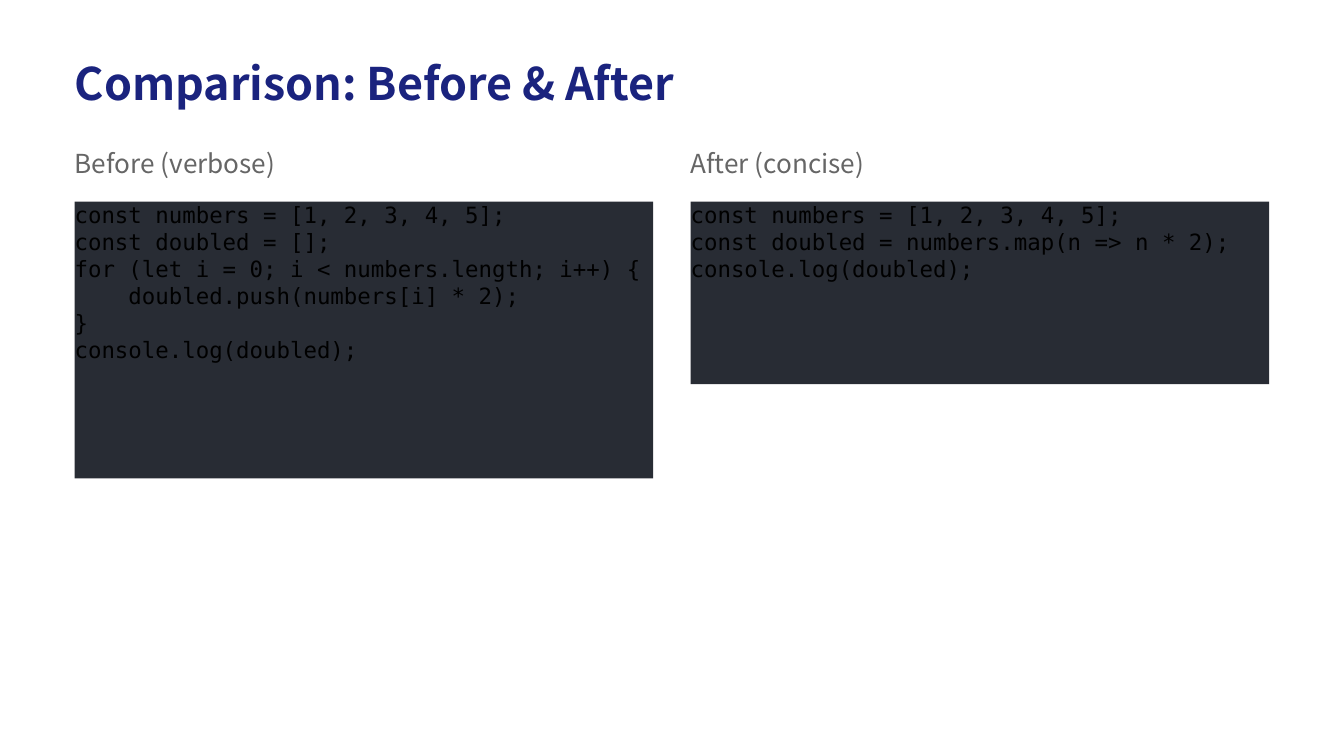
from copy import deepcopy
from dataclasses import dataclass

from pptx import Presentation
from pptx.dml.color import RGBColor
from pptx.enum.shapes import MSO_SHAPE
from pptx.enum.text import MSO_ANCHOR, PP_ALIGN
from pptx.oxml.ns import qn
from pptx.util import Inches, Pt

RECT = MSO_SHAPE.RECTANGLE
TOP = MSO_ANCHOR.TOP
LEFT = PP_ALIGN.LEFT

COLORS = {
    "title": "1A237E",
    "label": "666666",
    "code": "000000",
    "panel": "282C34",
}
SANS = "Noto Sans CJK SC"
MONO = "DejaVu Sans Mono"

SLIDE_WIDTH = 10
SLIDE_HEIGHT = SLIDE_WIDTH * 9 / 16
MARGIN = 40 / 72
GAP = MARGIN / 2
CONTENT_WIDTH = SLIDE_WIDTH - 2 * MARGIN
COLUMN_WIDTH = (CONTENT_WIDTH - GAP) / 2
TITLE_TOP = 30 / 72
LABEL_TOP = 1.1
PANEL_TOP = 1.5


@dataclass
class Column:
    label: str
    code: str
    panel_height: float


COLUMNS = [
    Column(
        "Before (verbose)",
        """const numbers = [1, 2, 3, 4, 5];
const doubled = [];
for (let i = 0; i < numbers.length; i++) {
    doubled.push(numbers[i] * 2);
}
console.log(doubled);""",
        2.06,
    ),
    Column(
        "After (concise)",
        """const numbers = [1, 2, 3, 4, 5];
const doubled = numbers.map(n => n * 2);
console.log(doubled);""",
        1.36,
    ),
]


def write_text(sp, text: str, *, size: float, color: str,
               font: str = SANS, bold: bool = False) -> None:
    """Fill a shape with one paragraph, without insets; newlines become line breaks."""
    tf = sp.text_frame
    tf.word_wrap = True
    tf.vertical_anchor = TOP
    tf.margin_left = tf.margin_right = tf.margin_top = tf.margin_bottom = 0
    p = tf.paragraphs[0]
    p.text = text
    p.alignment = LEFT
    for r in p.runs:
        r.font.name = font
        r.font.size = Pt(size)
        r.font.bold = bold
        r.font.color.rgb = RGBColor.from_string(COLORS[color])
    # A line break needs the run format too, or it takes the default size.
    for br in p._p.findall(qn("a:br")):
        br.append(deepcopy(p.runs[0]._r.rPr))


def add_column(s, column: Column, left: float) -> None:
    label = s.shapes.add_textbox(Inches(left), Inches(LABEL_TOP),
                                 Inches(COLUMN_WIDTH), Inches(0.29))
    write_text(label, column.label, size=14, color="label")

    panel = s.shapes.add_shape(RECT, Inches(left), Inches(PANEL_TOP),
                               Inches(COLUMN_WIDTH), Inches(column.panel_height))
    panel.shadow.inherit = False
    panel.fill.solid()
    panel.fill.fore_color.rgb = RGBColor.from_string(COLORS["panel"])
    panel.line.fill.background()
    write_text(panel, column.code, size=12, color="code", font=MONO)


def main() -> None:
    prs = Presentation()
    prs.slide_width, prs.slide_height = Inches(SLIDE_WIDTH), Inches(SLIDE_HEIGHT)
    s = prs.slides.add_slide(prs.slide_layouts[6])

    title = s.shapes.add_textbox(Inches(MARGIN), Inches(TITLE_TOP),
                                 Inches(CONTENT_WIDTH), Inches(0.47))
    write_text(title, "Comparison: Before & After", size=24, color="title", bold=True)

    for i, column in enumerate(COLUMNS):
        add_column(s, column, MARGIN + i * (COLUMN_WIDTH + GAP))

    prs.save("out.pptx")


if __name__ == "__main__":
    main()
